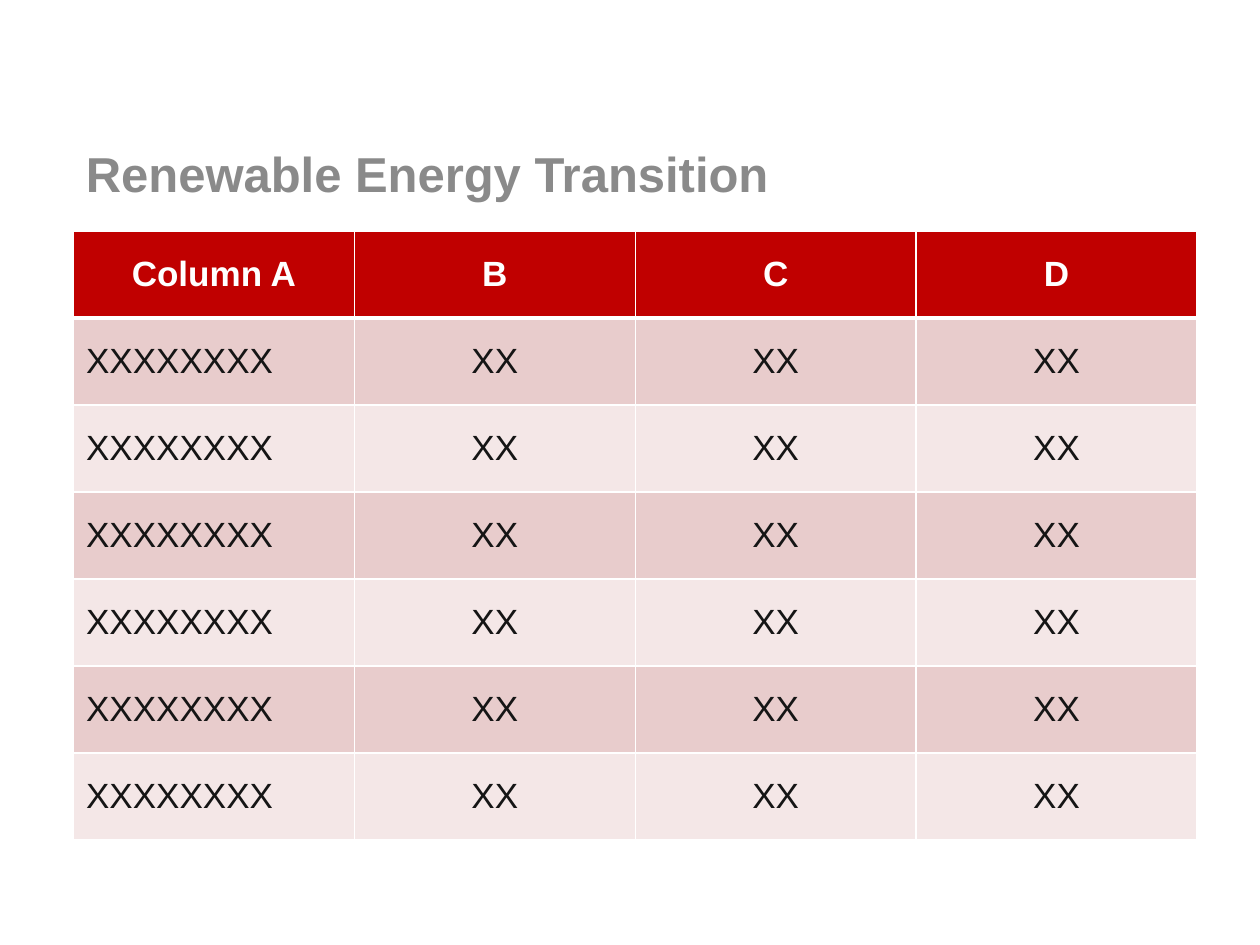
import lxml.etree
import pptx
import pptx.dml.color
import pptx.enum.text
import pptx.oxml.ns
import pptx.util

Pt = pptx.util.Pt
RGB = pptx.dml.color.RGBColor
ALIGN = pptx.enum.text.PP_ALIGN
MIDDLE = pptx.enum.text.MSO_ANCHOR.MIDDLE

WHITE = RGB(0xFF, 0xFF, 0xFF)
GREY = RGB(0x8A, 0x8A, 0x8A)
INK = RGB(0x15, 0x15, 0x15)
RED = RGB(0xC0, 0x00, 0x00)
ROSE = RGB(0xE8, 0xCC, 0xCC)
BLUSH = RGB(0xF4, 0xE7, 0xE7)

LEFT, WIDTH = 42, 642
ROW = 49.7
HEAD = ["Column A", "B", "C", "D"]
BODY = [["XXXXXXXX", "XX", "XX", "XX"]] * 6


def write(frame, text, size, color, bold=False, align=ALIGN.LEFT):
    para = frame.paragraphs[0]
    para.alignment = align
    run = para.add_run()
    run.text = text
    font = run.font
    font.name = "Arial"
    font.size = Pt(size)
    font.bold = bold
    font.color.rgb = color


def add_title(slide, text):
    box = slide.shapes.add_textbox(Pt(LEFT), Pt(78), Pt(WIDTH), Pt(42))
    frame = box.text_frame
    frame.word_wrap = True
    frame.vertical_anchor = MIDDLE
    write(frame, text, 28, GREY, bold=True)


def rule(cell, side, width):
    """Draw a white border on one side (L, R, T or B) of a cell."""
    qn = pptx.oxml.ns.qn
    props = cell._tc.get_or_add_tcPr()
    line = lxml.etree.SubElement(props, qn("a:ln" + side), w=str(Pt(width)))
    fill = lxml.etree.SubElement(line, qn("a:solidFill"))
    lxml.etree.SubElement(fill, qn("a:srgbClr"), val=str(WHITE))


def style(cell, row):
    """Set the borders first, as the schema wants them before the fill."""
    top = 3 if row == 1 else 1
    base = 3 if row == 0 else 1
    for side, width in (("L", 1), ("R", 1), ("T", top), ("B", base)):
        rule(cell, side, width)
    cell.fill.solid()
    cell.fill.fore_color.rgb = RED if row == 0 else ROSE if row % 2 else BLUSH
    cell.vertical_anchor = MIDDLE


def add_grid(slide, rows):
    count = len(rows)
    table = slide.shapes.add_table(
        count, len(rows[0]), Pt(LEFT), Pt(132), Pt(WIDTH), Pt(ROW * count)
    ).table
    for line in table.rows:
        line.height = Pt(ROW)
    for r, texts in enumerate(rows):
        for c, text in enumerate(texts):
            cell = table.cell(r, c)
            style(cell, r)
            head = r == 0
            align = ALIGN.CENTER if head or c else ALIGN.LEFT
            write(cell.text_frame, text, 20, WHITE if head else INK, head, align)


def main():
    deck = pptx.Presentation()
    deck.slide_width, deck.slide_height = Pt(720), Pt(540)
    slide = deck.slides.add_slide(deck.slide_layouts[6])
    add_title(slide, "Renewable Energy Transition")
    add_grid(slide, [HEAD] + BODY)
    deck.save("out.pptx")


if __name__ == "__main__":
    main()
